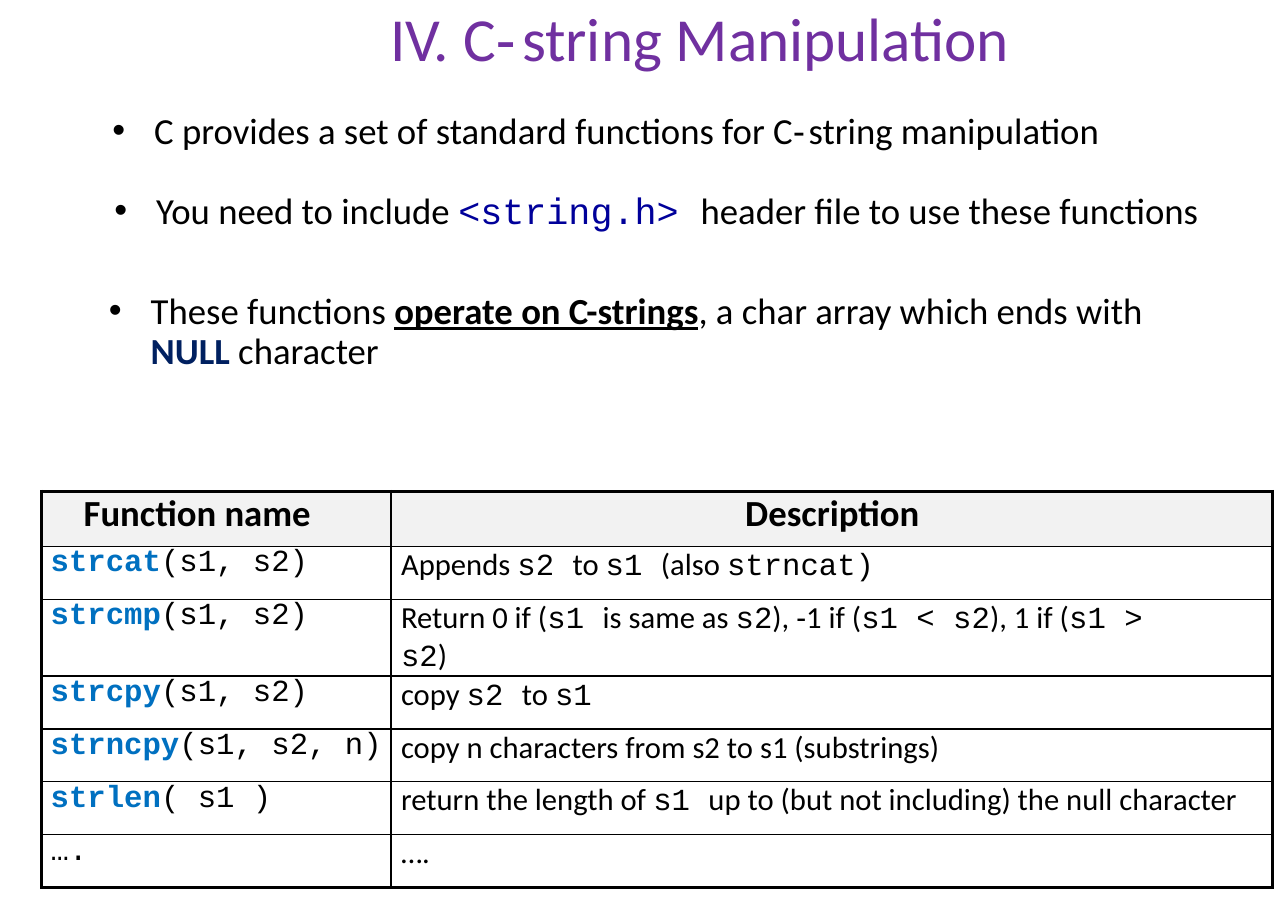
import lxml.etree
import pptx
import pptx.dml.color
import pptx.enum.text
import pptx.oxml.ns
import pptx.util

Inches = pptx.util.Inches
Pt = pptx.util.Pt
qn = pptx.oxml.ns.qn
Align = pptx.enum.text.PP_ALIGN

BLACK = "000000"
CODE = {"name": "Courier New"}
KEY = {"color": "0070C0", "bold": True}
HEAD = {"color": "00009A", **CODE}
STRESS = {"bold": True, "underline": True}
NULL = {"bold": True, "color": "002060"}

TITLE = ["IV. C", ("‐ ", {"spc": -480}), "string Manipulation"]
POINTS = [
    ["C provides a set of standard functions for C", ("‐ ", {"spc": -290}),
     "string manipulation"],
    ["You need to include ", ("<string.h> ", HEAD),
     "header file to use these functions"],
    ["These functions ", ("operate on C-strings", STRESS),
     ", a char array which ends with ", ("NULL", NULL), " character"],
]
ROWS = [
    ("strcat", "(s1, s2)", ["Appends ", ("s2 ", CODE), "to ", ("s1 ", CODE),
                            "(also ", ("strncat)", CODE)]),
    ("strcmp", "(s1, s2)", ["Return 0 if (", ("s1 ", CODE), "is same as ",
                            ("s2", CODE), "), ‐1 if (", ("s1 < s2", CODE),
                            "), 1 if (", ("s1 > s2", CODE), ")"]),
    ("strcpy", "(s1, s2)", ["copy ", ("s2 ", CODE), "to ", ("s1", CODE)]),
    ("strncpy", "(s1, s2, n)", ["copy n characters from s2 to s1 (substrings)"]),
    ("strlen", "( s1 )", ["return the length of ", ("s1 ", CODE),
                          "up to (but not including) the null character"]),
    ("", "….", ["…."]),
]


def paint(item, color):
    item.color.rgb = pptx.dml.color.RGBColor.from_string(color)


def indent(para, left, first=0):
    props = para._p.get_or_add_pPr()
    props.set("marL", str(Inches(left)))
    props.set("indent", str(Inches(first)))
    return props


def bullet(para):
    props = indent(para, 0.39, -0.38)
    lxml.etree.SubElement(props, qn("a:buFont"), typeface="Arial")
    lxml.etree.SubElement(props, qn("a:buChar"), char="•")


def write(para, runs, size, color=BLACK, name="Calibri", bold=False):
    para.space_before = Pt(0)
    para.font.size = Pt(size)
    para.font.bold = bold
    paint(para.font, color)
    plain = all(isinstance(part, str) or "name" not in part[1] for part in runs)
    if plain:
        para.font.name = name
    for part in runs:
        text, style = (part, {}) if isinstance(part, str) else part
        run = para.add_run()
        run.text = text
        if not plain:
            run.font.name = style.get("name", name)
        if "color" in style:
            paint(run.font, style["color"])
        if "bold" in style:
            run.font.bold = style["bold"]
        if "underline" in style:
            run.font.underline = style["underline"]
        if "spc" in style:
            run.font._element.set("spc", str(style["spc"]))


def setup(shape, left, top, width, height, inset=True):
    shape.left, shape.top = Inches(left), Inches(top)
    shape.width, shape.height = Inches(width), Inches(height)
    frame = shape.text_frame
    frame.word_wrap = True
    frame.auto_size = pptx.enum.text.MSO_AUTO_SIZE.NONE
    frame.vertical_anchor = pptx.enum.text.MSO_ANCHOR.TOP
    frame.margin_left = frame.margin_right = Inches(0.1 if inset else 0)
    frame.margin_top = frame.margin_bottom = Inches(0.05 if inset else 0)
    return frame.paragraphs[0]


def add_point(slide, runs, left, top, height):
    box = slide.shapes.add_textbox(0, 0, 0, 0)
    para = setup(box, left, top, 10.17, height)
    bullet(para)
    para.line_spacing = Pt(26.3)
    write(para, runs, 24)


def style_cell(cell, fill, edges):
    cell.margin_left = cell.margin_right = 0
    cell.margin_top = cell.margin_bottom = 0
    props = cell._tc.get_or_add_tcPr()
    for side, thick in zip("LRTB", edges):
        line = lxml.etree.SubElement(
            props, qn("a:ln" + side), w=str(Pt(2.25 if thick else 1)))
        solid = lxml.etree.SubElement(line, qn("a:solidFill"))
        lxml.etree.SubElement(solid, qn("a:srgbClr"), val=BLACK)
    cell.fill.solid()
    cell.fill.fore_color.rgb = pptx.dml.color.RGBColor.from_string(fill)


def add_grid(slide):
    heights = [0.5, 0.48, 0.38] + [0.48] * 4
    last = len(ROWS)
    grid = slide.shapes.add_table(
        last + 1, 2, Inches(0.38), Inches(4.46), Inches(11.17),
        Inches(sum(heights))).table
    grid.first_row = grid.horz_banding = False
    for col, width in zip(grid.columns, (3.17, 8)):
        col.width = Inches(width)
    for row, height in zip(grid.rows, heights):
        row.height = Inches(height)
    for r in range(last + 1):
        for c in range(2):
            style_cell(grid.cell(r, c), "FFFFFF" if r else "F2F2F2",
                       (c == 0, c == 1, r == 0, r == last))

    for c, text in enumerate(("Function name", "Description")):
        para = grid.cell(0, c).text_frame.paragraphs[0]
        indent(para, 0.01 if c else 0.38)
        para.alignment = Align.CENTER if c else Align.LEFT
        write(para, [text], 24, bold=True)
    for r, (func, args, about) in enumerate(ROWS, 1):
        call = [(func, KEY), args] if func else [args]
        for c, runs in enumerate((call, about)):
            para = grid.cell(r, c).text_frame.paragraphs[0]
            indent(para, 0.09 if c else 0.08)
            write(para, runs, 20, name="Calibri" if c else "Courier New")
    grid.cell(2, 1).margin_right = Inches(0.8)


def main():
    deck = pptx.Presentation()
    deck.slide_width, deck.slide_height = Inches(11.69), Inches(8.27)
    slide = deck.slides.add_slide(deck.slide_layouts[1])

    para = setup(slide.shapes.title, 1.3, 0, 9.32, 0.67, inset=False)
    indent(para, 2.24)
    para.alignment = Align.LEFT
    write(para, TITLE, 40, "7030A0")

    para = setup(slide.placeholders[1], 1.01, 0.98, 8.97, 0.4, inset=False)
    bullet(para)
    write(para, POINTS[0], 24)

    add_grid(slide)
    add_point(slide, POINTS[1], 0.93, 1.69, 0.48)
    add_point(slide, POINTS[2], 0.88, 2.6, 0.84)
    deck.save("out.pptx")


if __name__ == "__main__":
    main()
